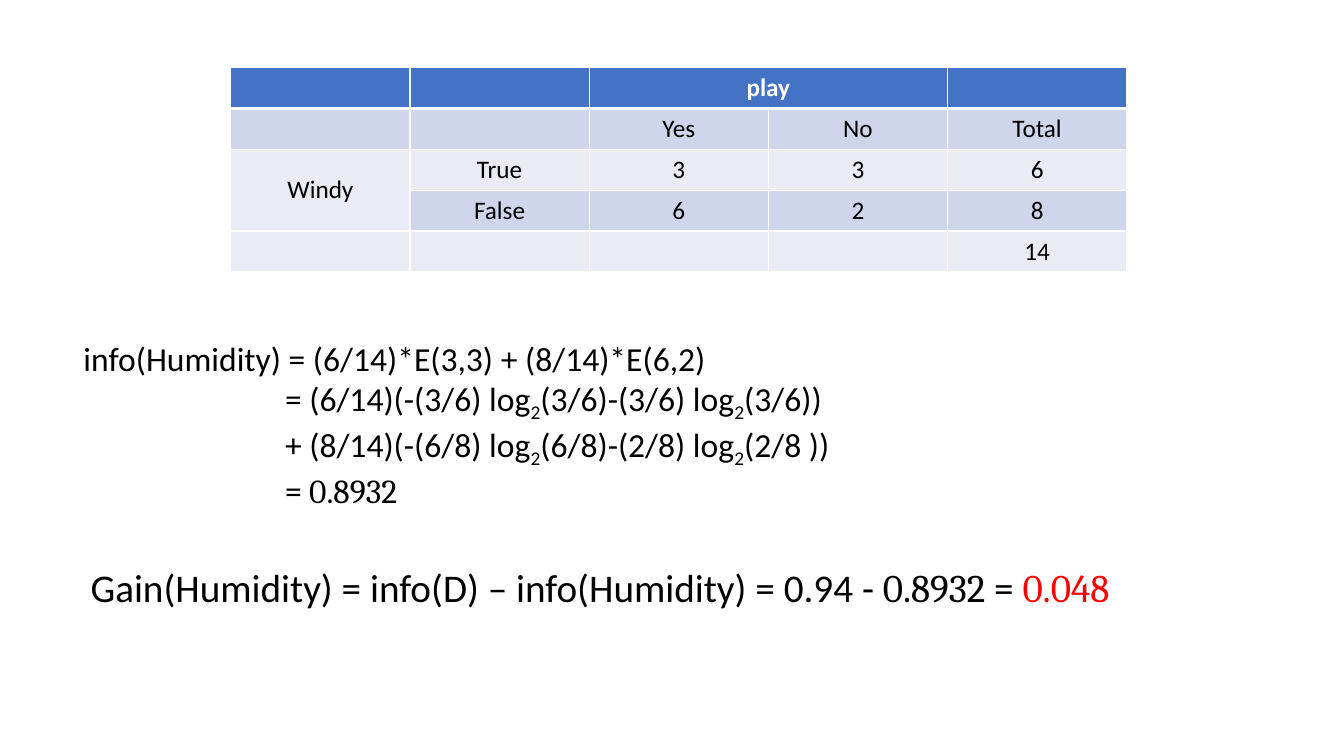
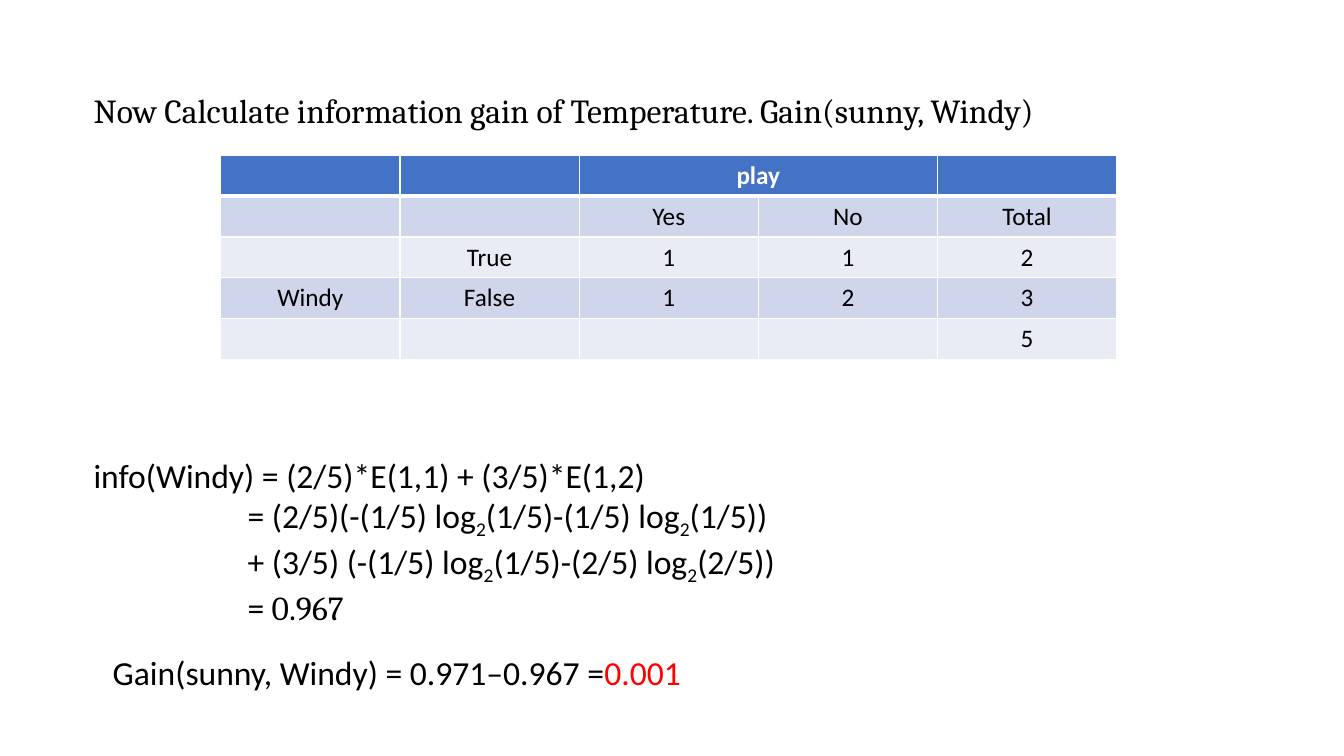
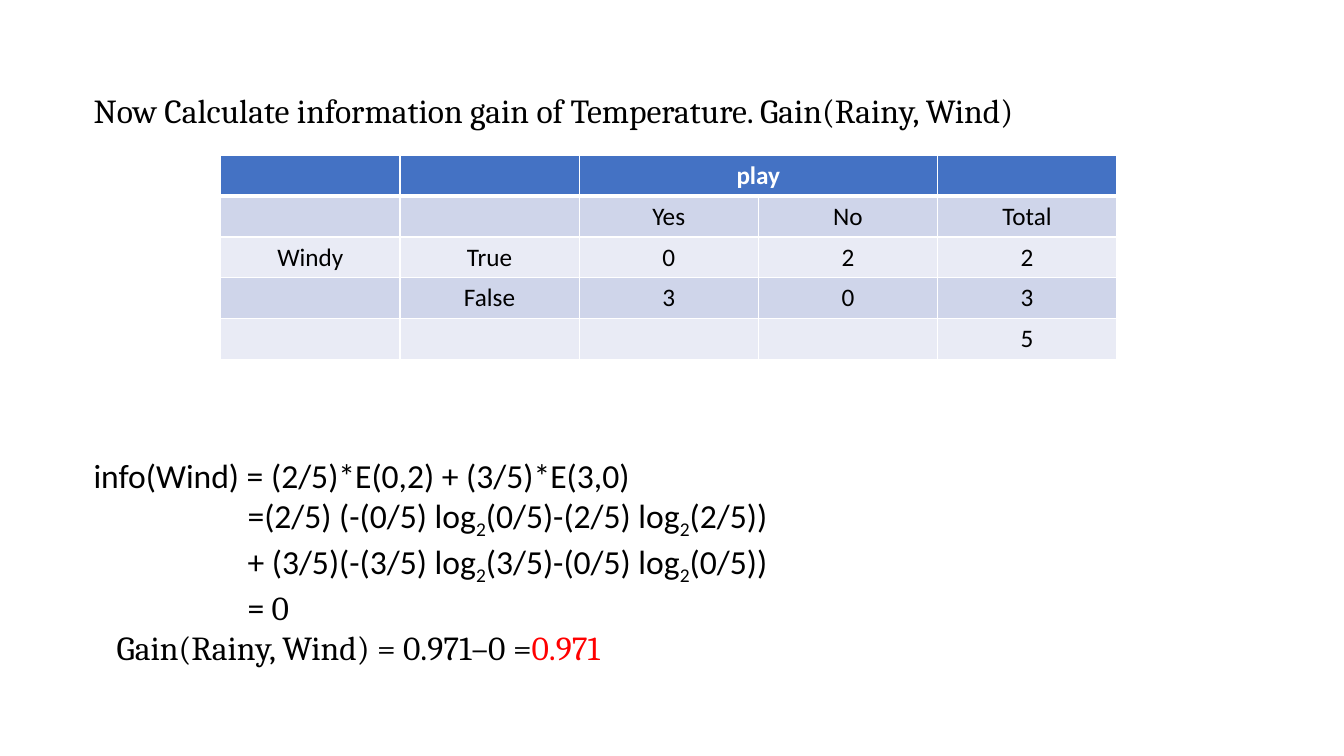
from dataclasses import dataclass

from lxml import etree
from pptx import Presentation
from pptx.dml.color import RGBColor
from pptx.enum import text
from pptx.oxml.ns import qn
from pptx.util import Pt

BLACK = RGBColor(0x00, 0x00, 0x00)
WHITE = RGBColor(0xFF, 0xFF, 0xFF)
RED = RGBColor(0xFF, 0x00, 0x00)
HEADER_BLUE = RGBColor(0x44, 0x72, 0xC4)
BANDS = (RGBColor(0xE9, 0xEB, 0xF5), RGBColor(0xCF, 0xD5, 0xEA))
SANS, SERIF = "Calibri", "Cambria"
COL_W, ROW_H = 128, 29.2
HEADER = ("", "", "play", "", "")
SUBHEADER = ("", "", "Yes", "No", "Total")


@dataclass(frozen=True)
class Span:
    text: str
    font: str = SANS
    color: RGBColor = BLACK


@dataclass(frozen=True)
class Line:
    spans: tuple[Span, ...]
    indent: float = 0


@dataclass(frozen=True)
class Block:
    left: float
    top: float
    width: float
    height: float
    lines: tuple[Line, ...]
    size: float = 24
    wrap: bool = True


@dataclass(frozen=True)
class Counts:
    """Contingency table of wind against play; rows follow the two headers."""
    left: float
    top: float
    rows: tuple[tuple[str, ...], ...]
    join_label: bool = False


@dataclass(frozen=True)
class Page:
    counts: Counts
    blocks: tuple[Block, ...]


def style_run(r, span: Span, size: float, bold: bool = False) -> None:
    r.font.name = span.font
    r.font.size = Pt(size)
    r.font.bold = bold
    r.font.color.rgb = span.color


def add_span(p, span: Span, size: float) -> None:
    """Add the span's runs, lowering the base of every log2."""
    for i, part in enumerate(span.text.split("log2")):
        if i:
            base = p.add_run()
            base.text = "2"
            style_run(base, span, size)
            base.font._element.set("baseline", "-25000")
        r = p.add_run()
        r.text = part + ("log" if i < span.text.count("log2") else "")
        style_run(r, span, size)


def add_block(slide, block: Block) -> None:
    sp = slide.shapes.add_textbox(Pt(block.left), Pt(block.top),
                                  Pt(block.width), Pt(block.height))
    tf = sp.text_frame
    tf.word_wrap = block.wrap
    tf.auto_size = text.MSO_AUTO_SIZE.SHAPE_TO_FIT_TEXT
    for i, line in enumerate(block.lines):
        p = tf.add_paragraph() if i else tf.paragraphs[0]
        if line.indent:
            p._p.get_or_add_pPr().set("marL", str(Pt(line.indent)))
        for span in line.spans:
            add_span(p, span, block.size)


def set_borders(cell, top: float, bottom: float) -> None:
    tc_pr = cell._tc.get_or_add_tcPr()
    sides = (("lnL", 1), ("lnR", 1), ("lnT", top), ("lnB", bottom))
    for i, (tag, width) in enumerate(sides):
        ln = etree.Element(qn(f"a:{tag}"), w=str(Pt(width)))
        fill = etree.SubElement(ln, qn("a:solidFill"))
        etree.SubElement(fill, qn("a:srgbClr"), val=str(WHITE))
        tc_pr.insert(i, ln)


def add_counts(slide, counts: Counts) -> None:
    rows = (HEADER, SUBHEADER, *counts.rows)
    n_cols = len(HEADER)
    table = slide.shapes.add_table(
        len(rows), n_cols, Pt(counts.left), Pt(counts.top),
        Pt(COL_W * n_cols), Pt(ROW_H * len(rows))).table
    for col in table.columns:
        col.width = Pt(COL_W)
    for i, values in enumerate(rows):
        table.rows[i].height = Pt(ROW_H)
        for j, value in enumerate(values):
            cell = table.cell(i, j)
            cell.fill.solid()
            cell.fill.fore_color.rgb = BANDS[i % 2] if i else HEADER_BLUE
            set_borders(cell, 3 if i == 1 else 1, 1 if i else 3)
            if value:
                p = cell.text_frame.paragraphs[0]
                p.alignment = text.PP_ALIGN.CENTER
                r = p.add_run()
                r.text = value
                style_run(r, Span(value, color=BLACK if i else WHITE), 18, i == 0)
    table.cell(0, 2).merge(table.cell(0, 3))
    if counts.join_label:
        table.cell(2, 0).merge(table.cell(3, 0))
        table.cell(2, 0).vertical_anchor = text.MSO_ANCHOR.MIDDLE


def title(words: str) -> Block:
    return Block(59.76, 60.48, 763.92, 36, (Line((Span(words, SERIF),)),))


def working(left: float, top: float, indent: float, first: str,
            steps: tuple[str, ...], result: str) -> Block:
    """Calculation whose later lines align under the first equals sign."""
    return Block(left, top, 868.32, 123.84, (
        Line((Span(first),)),
        *(Line((Span(step),), indent) for step in steps),
        Line((Span("="), Span(f" {result}", SERIF)), indent)))


PAGES = (
    Page(
        Counts(164.88, 48.24, (("Windy", "True", "3", "3", "6"),
                               ("", "False", "6", "2", "8"),
                               ("", "", "", "", "14")), join_label=True),
        (working(52.56, 237.6, 144,
                 "info(Humidity) = (6/14)*E(3,3) + (8/14)*E(6,2)",
                 ("= (6/14)(-(3/6) log2(3/6)-(3/6) log2(3/6))",
                  "+ (8/14)(-(6/8) log2(6/8)-(2/8) log2(2/8 ))"), "0.8932"),
         Block(57.6, 398.88, 826.56, 41.04, (Line((
             Span("Gain(Humidity) = info(D) – info(Humidity) = 0.94 - "),
             Span("0.8932", SERIF), Span(" = "),
             Span("0.048", SERIF, RED))),), size=28))),
    Page(
        Counts(157.68, 110.88, (("", "True", "1", "1", "2"),
                                ("Windy", "False", "1", "2", "3"),
                                ("", "", "", "", "5"))),
        (title("Now Calculate information gain of Temperature. Gain(sunny, Windy)"),
         working(59.76, 321.12, 110,
                 "info(Windy) = (2/5)*E(1,1) + (3/5)*E(1,2)",
                 ("= (2/5)(-(1/5) log2(1/5)-(1/5) log2(1/5))",
                  "+ (3/5) (-(1/5) log2(1/5)-(2/5) log2(2/5))"), "0.967"),
         Block(73.44, 462.24, 423.36, 36, (Line((
             Span("Gain(sunny, Windy) = 0.971–0.967 ="),
             Span("0.001", color=RED))),), wrap=False))),
    Page(
        Counts(157.68, 110.88, (("Windy", "True", "0", "2", "2"),
                                ("", "False", "3", "0", "3"),
                                ("", "", "", "", "5"))),
        (title("Now Calculate information gain of Temperature. Gain(Rainy, Wind)"),
         working(59.76, 321.12, 110,
                 "info(Wind) = (2/5)*E(0,2) + (3/5)*E(3,0)",
                 ("=(2/5) (-(0/5) log2(0/5)-(2/5) log2(2/5))",
                  "+ (3/5)(-(3/5) log2(3/5)-(0/5) log2(0/5))"), "0"),
         Block(76.32, 444.24, 365.04, 36, (Line((
             Span("Gain(Rainy, Wind) = 0.971–0 =", SERIF),
             Span("0.971", SERIF, RED))),), wrap=False))),
)


def main() -> None:
    prs = Presentation()
    prs.slide_width, prs.slide_height = Pt(960), Pt(540)
    for page in PAGES:
        slide = prs.slides.add_slide(prs.slide_layouts[6])
        add_counts(slide, page.counts)
        for block in page.blocks:
            add_block(slide, block)
    prs.save("out.pptx")


if __name__ == "__main__":
    main()
